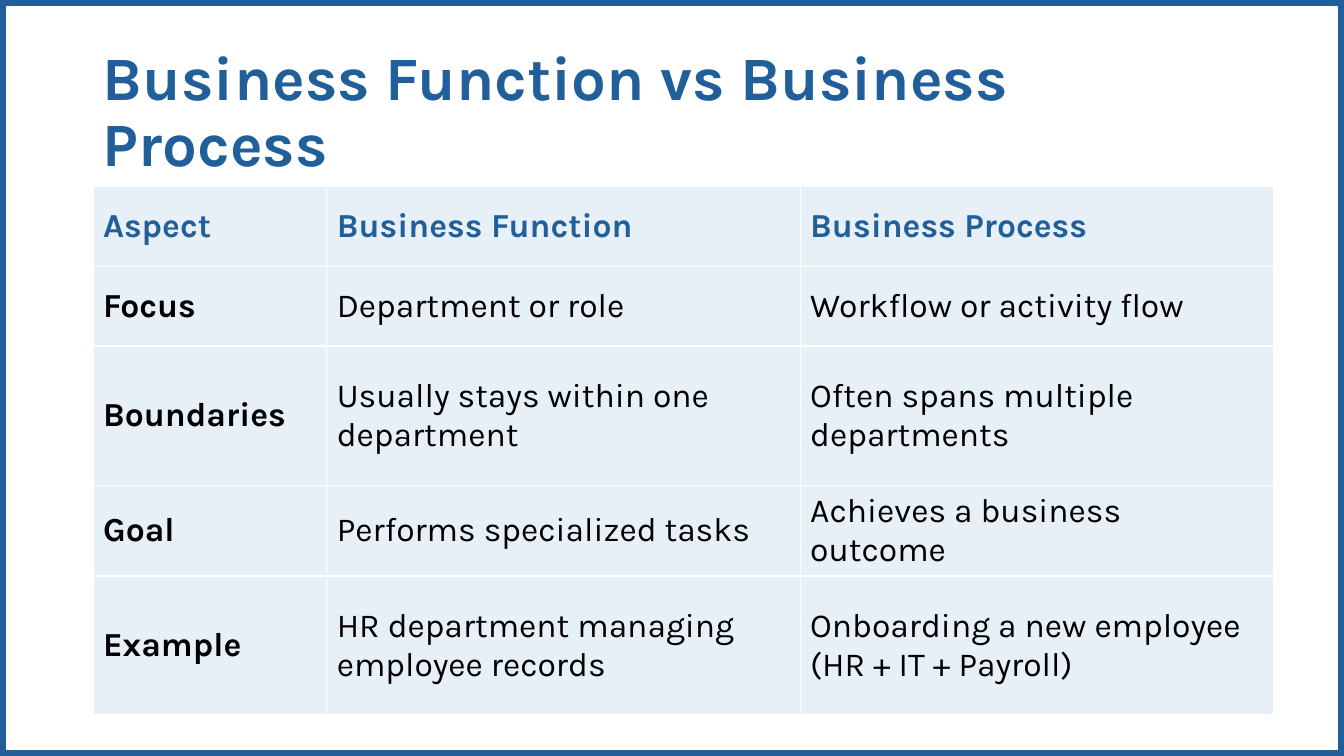
from lxml.etree import SubElement
from pptx import Presentation
from pptx.dml.color import RGBColor
from pptx.enum.shapes import MSO_SHAPE as Shape
from pptx.enum.text import MSO_ANCHOR as Anchor, PP_ALIGN as Align
from pptx.oxml.ns import qn
from pptx.util import Pt

BLUE, PALE, WHITE, BLACK = "215F9A", "E7F0F7", "FFFFFF", "000000"
LEFT = 66.4
COLUMN_WIDTHS = [167, 338.2, 338.2]
ROW_HEIGHTS = [56.9, 56.9, 99.4, 56.9, 99.4]
ROWS = [
    ["Aspect", "Business Function", "Business Process"],
    ["Focus", "Department or role", "Workflow or activity flow"],
    ["Boundaries", "Usually stays within one department", "Often spans multiple departments"],
    ["Goal", "Performs specialized tasks", "Achieves a business outcome"],
    ["Example", "HR department managing employee records",
     "Onboarding a new employee (HR + IT + Payroll)"],
]


def color(value):
    return RGBColor.from_string(value)


def write_text(frame, text, size=24, fill=BLACK, bold=False, spacing=1.0):
    frame.word_wrap = True
    paragraph = frame.paragraphs[0]
    paragraph.alignment = Align.LEFT
    paragraph.line_spacing = spacing
    run = paragraph.add_run()
    run.text = text
    run.font.name = "Karla"
    run.font.size = Pt(size)
    run.font.bold = bold
    run.font.color.rgb = color(fill)


def add_frame(slide, width, height):
    shape = slide.shapes.add_shape(Shape.RECTANGLE, 0, 0, width, height)
    shape.shadow.inherit = False
    shape.fill.background()
    shape.line.color.rgb = color(BLUE)
    shape.line.width = Pt(8.75)


def add_title(slide, text):
    box = slide.shapes.add_textbox(Pt(LEFT), Pt(28.8), Pt(828), Pt(104.4))
    box.text_frame.vertical_anchor = Anchor.MIDDLE
    write_text(box.text_frame, text, size=44, fill=BLUE, bold=True, spacing=0.9)


def add_borders(cell):
    properties = cell._tc.get_or_add_tcPr()
    for side in ("a:lnL", "a:lnR", "a:lnT", "a:lnB"):
        line = SubElement(properties, qn(side), w=str(Pt(1)))
        SubElement(SubElement(line, qn("a:solidFill")), qn("a:srgbClr"), val=WHITE)


def add_comparison(slide):
    table = slide.shapes.add_table(
        len(ROWS), len(COLUMN_WIDTHS), Pt(LEFT), Pt(133.4),
        Pt(sum(COLUMN_WIDTHS)), Pt(sum(ROW_HEIGHTS))).table
    table.first_row = table.horz_banding = False
    for column, width in zip(table.columns, COLUMN_WIDTHS):
        column.width = Pt(width)
    for row_index, (row, height, texts) in enumerate(zip(table.rows, ROW_HEIGHTS, ROWS)):
        row.height = Pt(height)
        is_header = row_index == 0
        for column_index, (cell, text) in enumerate(zip(row.cells, texts)):
            add_borders(cell)
            cell.fill.solid()
            cell.fill.fore_color.rgb = color(PALE)
            cell.vertical_anchor = Anchor.MIDDLE
            write_text(cell.text_frame, text, fill=BLUE if is_header else BLACK,
                       bold=is_header or column_index == 0)


def main():
    presentation = Presentation()
    presentation.slide_width, presentation.slide_height = Pt(960), Pt(540)
    slide = presentation.slides.add_slide(presentation.slide_layouts[6])
    add_frame(slide, presentation.slide_width, presentation.slide_height)
    add_title(slide, "Business Function vs Business Process")
    add_comparison(slide)
    presentation.save("out.pptx")


if __name__ == "__main__":
    main()
